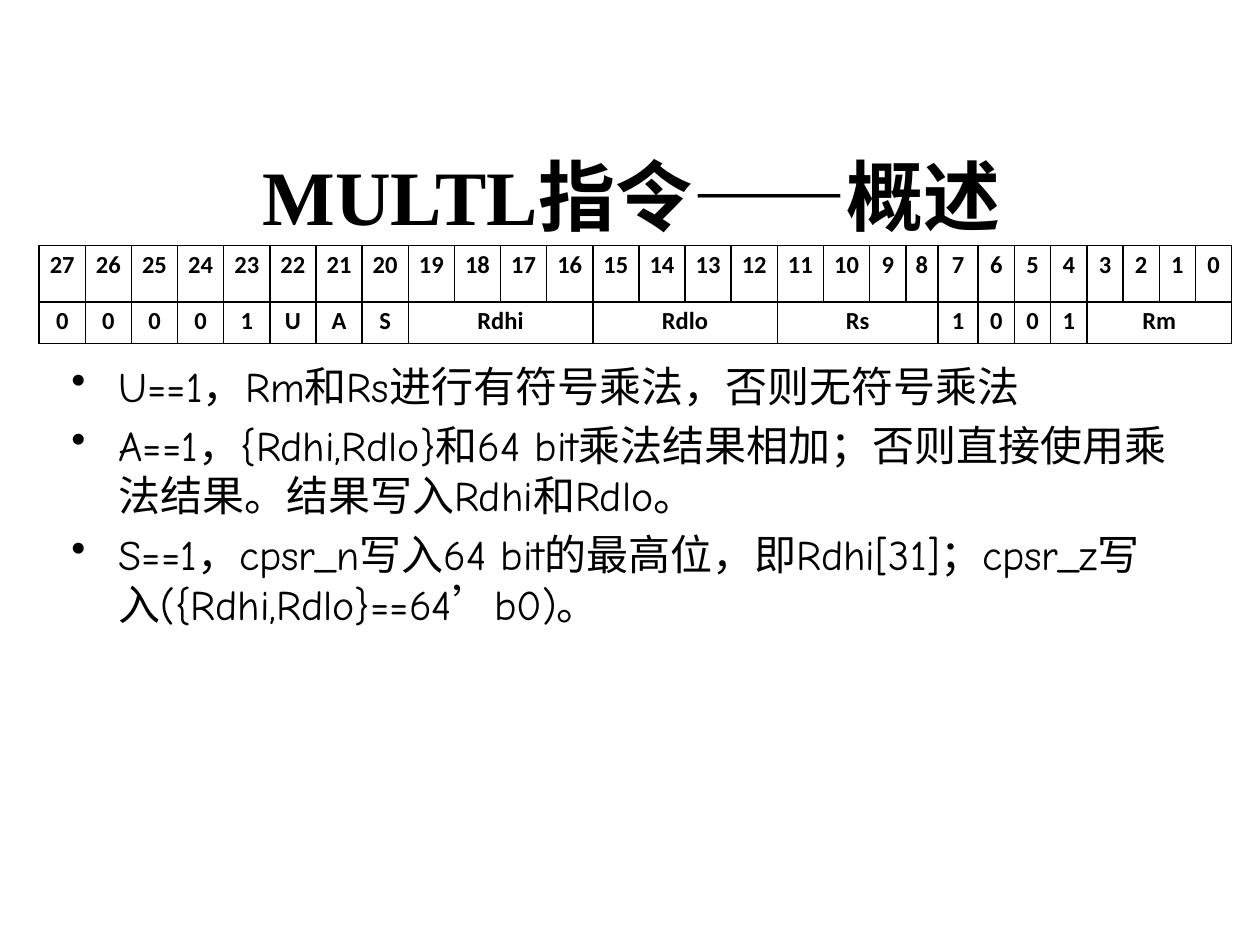
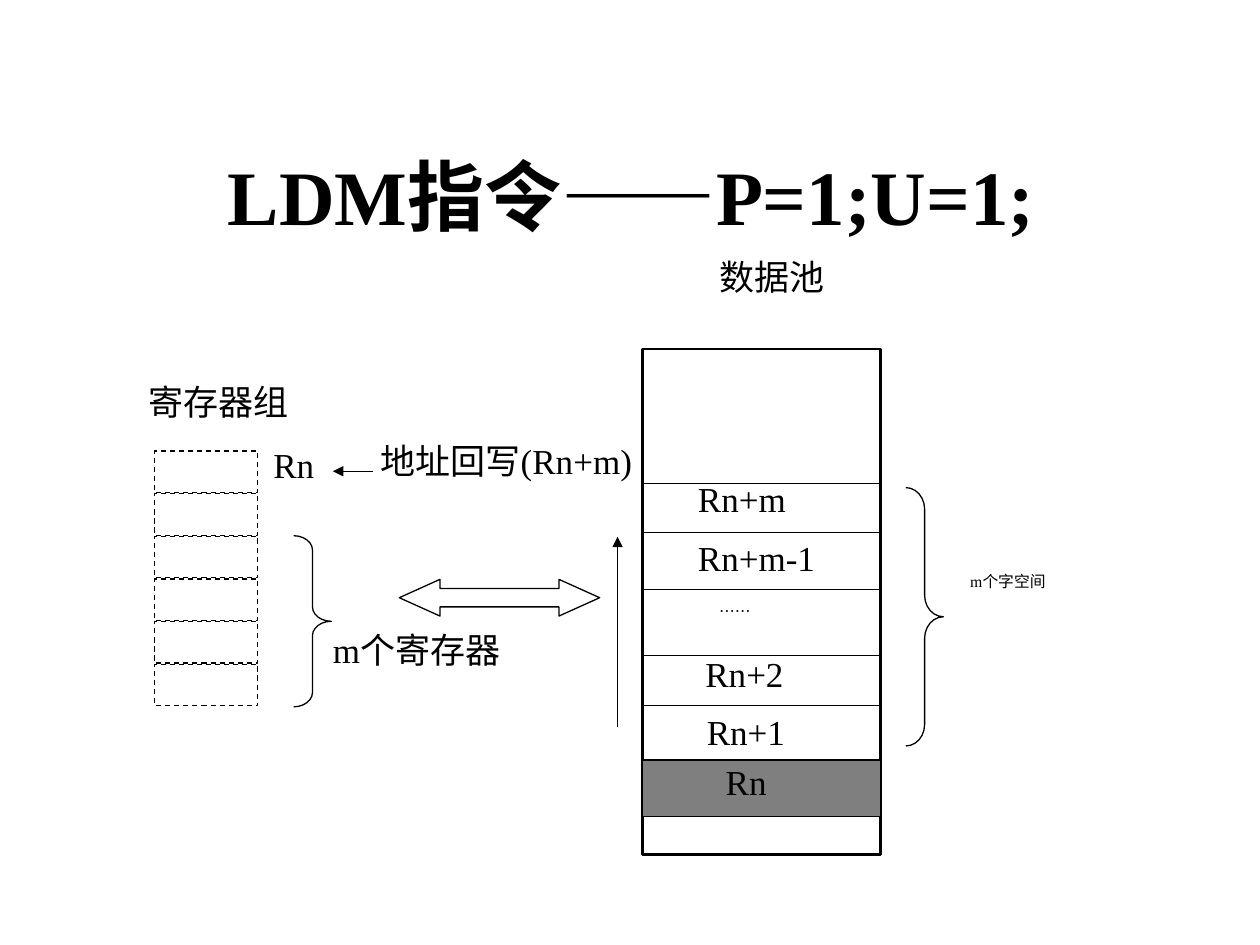
from dataclasses import dataclass

from lxml import etree
from pptx import Presentation
from pptx.dml.color import RGBColor
from pptx.enum.dml import MSO_LINE
from pptx.enum.shapes import MSO_CONNECTOR, MSO_SHAPE
from pptx.enum.text import MSO_ANCHOR, PP_ALIGN
from pptx.oxml.ns import qn
from pptx.util import Cm, Pt

CENTER = PP_ALIGN.CENTER
MIDDLE = MSO_ANCHOR.MIDDLE
DASH = MSO_LINE.DASH
STRAIGHT = MSO_CONNECTOR.STRAIGHT
RECTANGLE = MSO_SHAPE.RECTANGLE
RIGHT_BRACE = MSO_SHAPE.RIGHT_BRACE
DOUBLE_ARROW = MSO_SHAPE.LEFT_RIGHT_ARROW


@dataclass(frozen=True)
class Theme:
    ink: RGBColor = RGBColor(0, 0, 0)
    paper: RGBColor = RGBColor(255, 255, 255)
    base_word: RGBColor = RGBColor(0x7F, 0x7F, 0x7F)
    serif: str = "Times New Roman"
    body: str = "Comic Neue"
    table: str = "Calibri"
    cjk: str = "Noto Sans CJK SC"
    title_size: int = 44
    body_size: int = 24
    label_size: int = 20
    table_size: int = 14
    small_size: int = 9
    thin: float = 0.75
    grid: float = 1
    thick: float = 1.5


THEME = Theme()

BIT_WIDTHS = [0.93] * 18 + [0.73, 0.65, 0.81] + [0.73] * 7
ENCODING = [
    ("0", 1), ("0", 1), ("0", 1), ("0", 1), ("1", 1), ("U", 1), ("A", 1), ("S", 1),
    ("Rdhi", 4), ("Rdlo", 4), ("Rs", 4),
    ("1", 1), ("0", 1), ("0", 1), ("1", 1), ("Rm", 4),
]
FLAG_RULES = [
    "U==1，Rm和Rs进行有符号乘法，否则无符号乘法",
    "A==1，{Rdhi,Rdlo}和64 bit乘法结果相加；否则直接使用乘法结果。结果写入Rdhi和Rdlo。",
    "S==1，cpsr_n写入64 bit的最高位，即Rdhi[31]；cpsr_z写入({Rdhi,Rdlo}==64’b0)。",
]

REGISTER_COUNT = 6
REGISTER_TOP, REGISTER_STEP = 9.09, 0.86
POOL_LEFT, POOL_TOP, POOL_WIDTH, POOL_HEIGHT = 12.95, 7.04, 4.8, 10.19
WORD_BOUNDARIES = [9.75, 10.73, 11.89, 13.21, 14.22]
LABELS = [
    ("寄存器组", 3.0, 7.67, 3.96),
    ("数据池", 14.5, 5.16, 2.62),
    ("Rn", 5.51, 8.94, 1.19),
    ("地址回写(Rn+m)", 7.67, 8.86, 5.84),
    ("m个寄存器", 6.71, 12.67, 3.43),
    ("Rn+m", 14.07, 9.63, 2.34),
    ("Rn+m-1", 14.07, 10.82, 3.4),
    ("Rn+2", 14.22, 13.16, 3.02),
    ("Rn+1", 14.25, 14.33, 2.34),
    ("Rn", 14.63, 15.34, 1.35),
]


def format_runs(paragraph, size, font, bold=False):
    for run in paragraph.runs:
        run.font.size = Pt(size)
        run.font.bold = bold
        run.font.color.rgb = THEME.ink
        run.font.name = font
        east_asian = etree.SubElement(run._r.get_or_add_rPr(), qn("a:ea"))
        east_asian.set("typeface", THEME.cjk)


def text_box(slide, left, top, width, height):
    frame = slide.shapes.add_textbox(Cm(left), Cm(top), Cm(width), Cm(height)).text_frame
    frame.word_wrap = True
    return frame


def add_title(slide, title):
    frame = text_box(slide, 1.3, 2.34, 22.86, 3.18)
    frame.vertical_anchor = MIDDLE
    frame.text = title
    heading = frame.paragraphs[0]
    heading.alignment = CENTER
    format_runs(heading, THEME.title_size, THEME.serif, bold=True)


def add_label(slide, text, left, top, width, size=THEME.label_size, font=THEME.serif):
    frame = text_box(slide, left, top, width, 1.07)
    frame.margin_left = frame.margin_right = frame.margin_top = frame.margin_bottom = 0
    frame.text = text
    format_runs(frame.paragraphs[0], size, font)


def add_bullets(slide, items):
    frame = text_box(slide, 1.19, 7.14, 22.86, 10.11)
    frame.text = "\n".join(items)
    for index, paragraph in enumerate(frame.paragraphs):
        if index:
            paragraph.space_before = Pt(4.8)
        properties = paragraph._p.get_or_add_pPr()
        properties.set("marL", str(Cm(0.95)))
        properties.set("indent", str(Cm(-0.95)))
        etree.SubElement(properties, qn("a:buChar")).set("char", "•")
        format_runs(paragraph, THEME.body_size, THEME.body)


def set_borders(cell):
    properties = cell._tc.get_or_add_tcPr()
    for position, side in enumerate(("lnL", "lnR", "lnT", "lnB")):
        border = etree.Element(qn(f"a:{side}"), w=str(Pt(THEME.grid)))
        fill = etree.SubElement(border, qn("a:solidFill"))
        etree.SubElement(fill, qn("a:srgbClr")).set("val", str(THEME.ink))
        properties.insert(position, border)


def fill_cell(cell, text):
    cell.text = text
    paragraph = cell.text_frame.paragraphs[0]
    paragraph.alignment = CENTER
    paragraph.line_spacing = 1.15
    paragraph.space_after = Pt(10)
    format_runs(paragraph, THEME.table_size, THEME.table, bold=True)


def add_encoding_table(slide):
    bit_count = len(BIT_WIDTHS)
    table = slide.shapes.add_table(
        2, bit_count, Cm(0.79), Cm(4.95), Cm(sum(BIT_WIDTHS)), Cm(1.98)).table
    for column, width in zip(table.columns, BIT_WIDTHS):
        column.width = Cm(width)
    for row, height in zip(table.rows, (1.14, 0.84)):
        row.height = Cm(height)
    for cell in table.iter_cells():
        cell.margin_left = cell.margin_right = Cm(0.18)
        cell.margin_top = cell.margin_bottom = 0
        cell.fill.background()
        set_borders(cell)
    for column in range(bit_count):
        fill_cell(table.cell(0, column), str(bit_count - 1 - column))
    column = 0
    for field, span in ENCODING:
        cell = table.cell(1, column)
        if span > 1:
            cell.merge(table.cell(1, column + span - 1))
        fill_cell(cell, field)
        column += span


def add_outline(slide, kind, left, top, width, height, fill=None,
                weight=THEME.thin, dash=None, adjustments=()):
    shape = slide.shapes.add_shape(kind, Cm(left), Cm(top), Cm(width), Cm(height))
    shape.shadow.inherit = False
    if fill is None:
        shape.fill.background()
    else:
        shape.fill.solid()
        shape.fill.fore_color.rgb = fill
    shape.line.color.rgb = THEME.ink
    shape.line.width = Pt(weight)
    if dash is not None:
        shape.line.dash_style = dash
    for index, value in enumerate(adjustments):
        shape.adjustments[index] = value


def add_line(slide, start_x, start_y, end_x, end_y, arrow=False):
    line = slide.shapes.add_connector(
        STRAIGHT, Cm(start_x), Cm(start_y), Cm(end_x), Cm(end_y))
    line.line.color.rgb = THEME.ink
    line.line.width = Pt(THEME.thin)
    if arrow:
        etree.SubElement(line.line._get_or_add_ln(), qn("a:tailEnd")).set("type", "triangle")
    etree.SubElement(line._element.spPr, qn("a:effectLst"))


def add_registers(slide):
    for index in range(REGISTER_COUNT):
        add_outline(slide, RECTANGLE, 3.12, REGISTER_TOP + index * REGISTER_STEP,
                    2.08, 0.84, THEME.paper, dash=DASH)
    add_outline(slide, RIGHT_BRACE, 5.92, 10.8, 0.76, 3.45, adjustments=(0.38, 0.5))


def add_data_pool(slide):
    add_outline(slide, RECTANGLE, POOL_LEFT, POOL_TOP, POOL_WIDTH, POOL_HEIGHT,
                THEME.paper, THEME.thick)
    for boundary in WORD_BOUNDARIES:
        add_line(slide, POOL_LEFT, boundary, POOL_LEFT + POOL_WIDTH, boundary)
    add_outline(slide, RECTANGLE, POOL_LEFT, 15.32, POOL_WIDTH, 1.14, THEME.base_word)
    add_outline(slide, RIGHT_BRACE, 18.26, 9.83, 0.76, 5.21, adjustments=(0.57, 0.5))


def add_transfers(slide):
    add_outline(slide, DOUBLE_ARROW, 8.05, 11.68, 4.04, 0.74, THEME.paper,
                adjustments=(0.5, 1.11))
    add_line(slide, 7.52, 9.5, 6.71, 9.5, arrow=True)
    add_line(slide, 12.45, 14.66, 12.45, 10.82, arrow=True)


def new_slide(deck, title):
    slide = deck.slides.add_slide(deck.slide_layouts[6])
    add_title(slide, title)
    return slide


def main():
    deck = Presentation()
    deck.slide_width, deck.slide_height = Cm(25.4), Cm(19.05)

    multiply = new_slide(deck, "MULTL指令——概述")
    add_bullets(multiply, FLAG_RULES)
    add_encoding_table(multiply)

    load = new_slide(deck, "LDM指令——P=1;U=1;")
    add_registers(load)
    add_data_pool(load)
    add_transfers(load)
    for label in LABELS:
        add_label(load, *label)
    add_label(load, "……", 14.5, 12.14, 1.65, THEME.small_size, THEME.cjk)
    add_label(load, "m个字空间", 19.56, 11.53, 3.43, THEME.small_size)

    deck.save("out.pptx")


if __name__ == "__main__":
    main()
